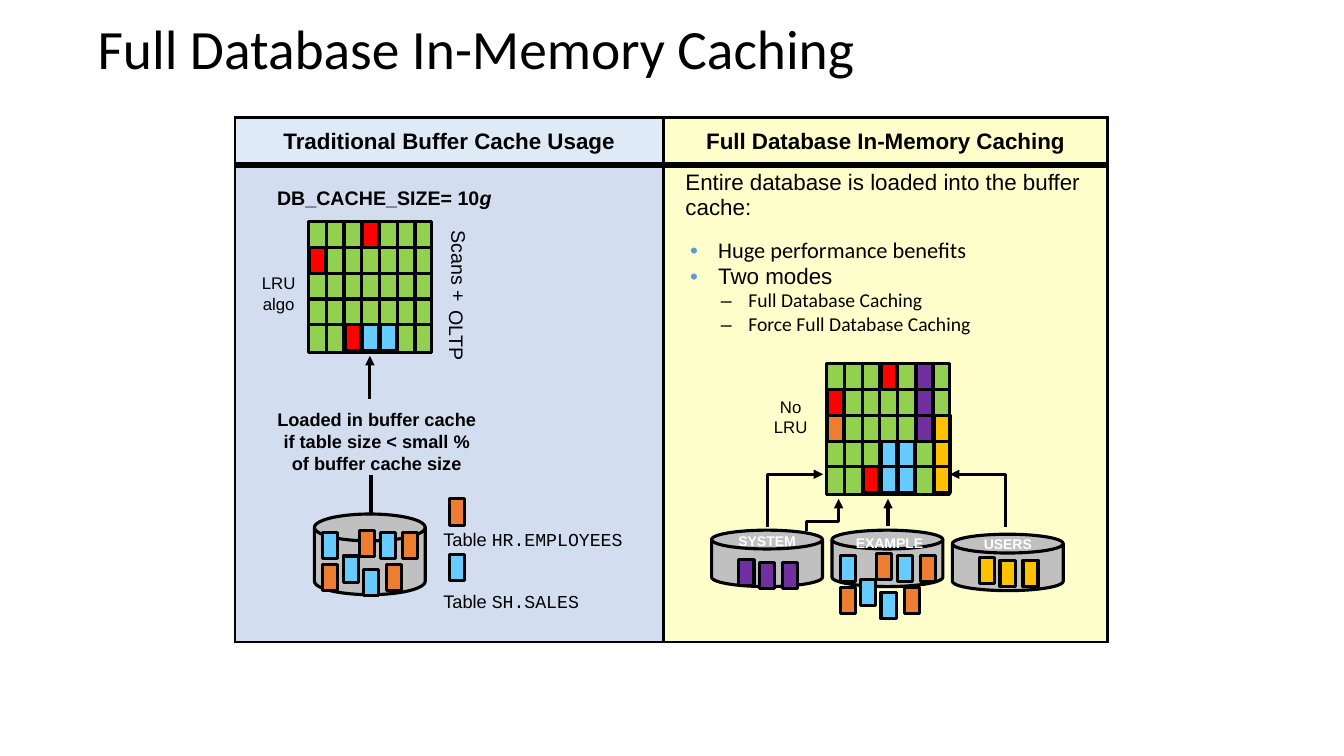
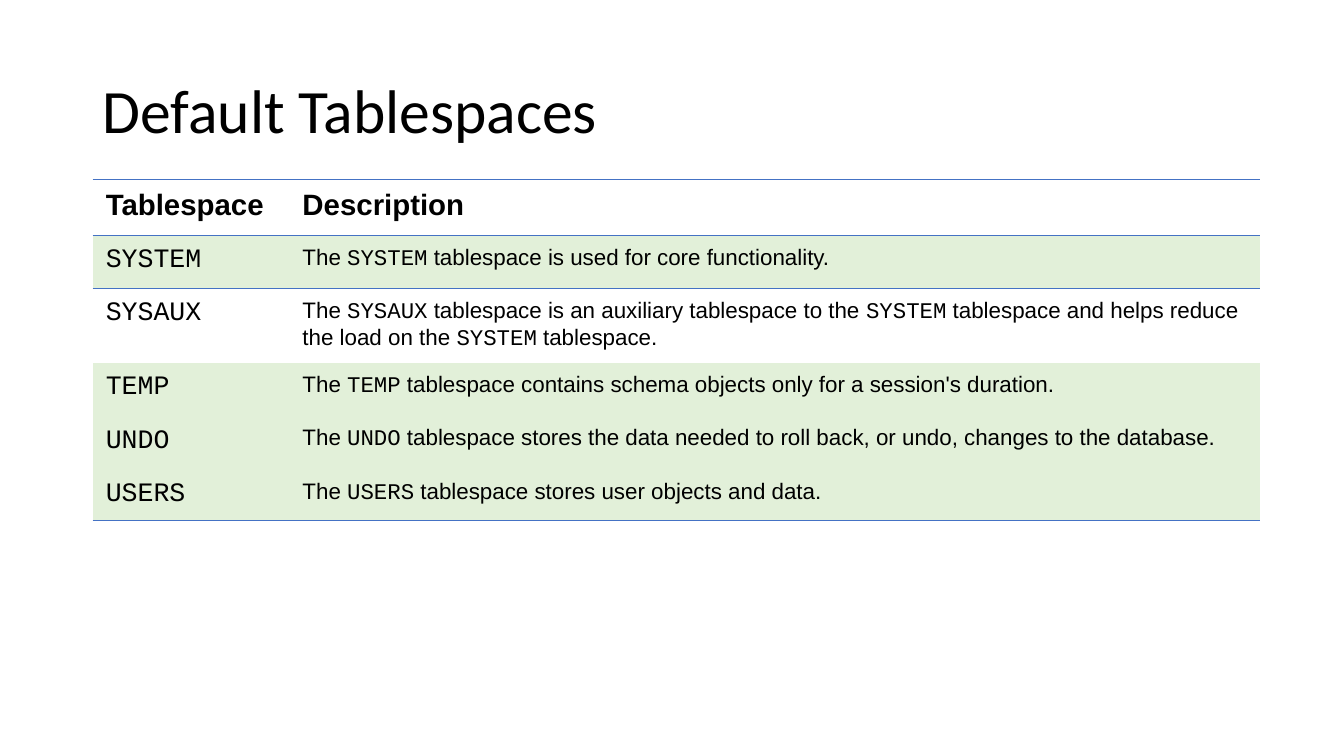
"""Build two slides on in-memory database caching and default tablespaces."""
from lxml.etree import SubElement
from pptx import Presentation
from pptx.dml.color import RGBColor
from pptx.enum.shapes import MSO_CONNECTOR, MSO_SHAPE
from pptx.enum.text import MSO_ANCHOR, PP_ALIGN
from pptx.oxml.ns import qn
from pptx.util import Pt

RECTANGLE, DISK = MSO_SHAPE.RECTANGLE, MSO_SHAPE.FLOWCHART_MAGNETIC_DISK
STRAIGHT, ELBOW = MSO_CONNECTOR.STRAIGHT, MSO_CONNECTOR.ELBOW
LEFT, CENTER = PP_ALIGN.LEFT, PP_ALIGN.CENTER
MIDDLE, TOP = MSO_ANCHOR.MIDDLE, MSO_ANCHOR.TOP
NO_TABLE_STYLE = "{2D5ABB26-0587-4C30-8999-92F81FD0307C}"


class Theme:
    """Colours, fonts and sizes shared by the slides."""
    black, white, gray = "000000", "FFFFFF", "C0C0C0"
    green, red, blue = "92D050", "FF0000", "66CCFF"
    orange, yellow, purple = "ED7D31", "FFC000", "7030A0"
    pale_blue, mid_blue, cream = "DEEBF7", "D2DEEF", "FFFFCC"
    bullet, rule, band = "5B9BD5", "4472C4", "E2F0D9"
    sans, heading, mono = "Arial", "Calibri", "Courier New"
    stroke, heavy_stroke, thin_stroke = 2.25, 4.5, 1
    body, sub_body, caption, note, disk_label = 16, 14, 13, 12, 10
    table_head, table_key = 21, 19


def write(frame, lines, size, color=Theme.black, align=LEFT, accent=None, **look):
    """Fill a text frame; pieces after an odd number of bars take the accent."""
    frame.word_wrap = True
    accent = accent or {"name": Theme.mono}
    for index, line in enumerate(lines):
        paragraph = frame.add_paragraph() if index else frame.paragraphs[0]
        paragraph.alignment = align
        for number, piece in enumerate(line.split("|")):
            run = paragraph.add_run()
            run.text = piece
            style = {"name": Theme.sans, "size": Pt(size), **look}
            style.update(accent if number % 2 else {})
            for key, value in style.items():
                setattr(run.font, key, value)
            run.font.color.rgb = RGBColor.from_string(color)


def ink(item, fill=None):
    """Give a shape or connector its black outline, optional fill and no shadow."""
    if fill:
        item.fill.solid()
        item.fill.fore_color.rgb = RGBColor.from_string(fill)
    item.line.color.rgb = RGBColor.from_string(Theme.black)
    item.line.width = Pt(Theme.stroke)
    SubElement(item._element.spPr, qn("a:effectLst"))


deck = Presentation()
deck.slide_width, deck.slide_height = Pt(960), Pt(540)
blank = deck.slide_layouts[6]
caching, tablespaces = [deck.slides.add_slide(blank) for _ in range(2)]

comparison = caching.shapes.add_table(
    2, 2, Pt(167.8), Pt(84.2), Pt(623.5), Pt(374.4)).table
catalog = tablespaces.shapes.add_table(
    6, 2, Pt(66.2), Pt(128), Pt(833.5), Pt(244)).table
for table, widths, heights in (
    (comparison, (306, 317.5), (33.8, 340.6)),
    (catalog, (140.5, 693), (40, 38, 53, 38, 38, 37)),
):
    table.first_row = table.horz_banding = False
    table._tbl.tblPr.find(qn("a:tableStyleId")).text = NO_TABLE_STYLE
    for column, width in zip(table.columns, widths):
        column.width = Pt(width)
    for row, height in zip(table.rows, heights):
        row.height = Pt(height)

cell_looks = []
column_heads = ("Traditional Buffer Cache Usage", "Full Database In-Memory Caching")
for column, head in enumerate(column_heads):
    cell = comparison.cell(0, column)
    cell.vertical_anchor = MIDDLE
    write(cell.text_frame, [head], Theme.body, align=CENTER, bold=True)
fills = ((Theme.pale_blue, Theme.cream), (Theme.mid_blue, Theme.cream))
for row, row_fills in enumerate(fills):
    for column, fill in enumerate(row_fills):
        edges = dict.fromkeys("LRTB", (Theme.black, Theme.stroke))
        edges["T" if row else "B"] = (Theme.black, Theme.heavy_stroke)
        cell_looks.append((comparison.cell(row, column), fill, edges))

benefits = (
    ("Entire database is loaded into the buffer cache:",
     Theme.body, Theme.sans, 8.6, 0, 0, None, None),
    ("Huge performance benefits",
     Theme.body, Theme.heading, 32, -20, 12, "•", Theme.bullet),
    ("Two modes", Theme.body, Theme.sans, 32, -20, 0, "•", Theme.bullet),
    ("Full Database Caching",
     Theme.sub_body, Theme.heading, 53.5, -19.5, 0, "‒", Theme.black),
    ("Force Full Database Caching",
     Theme.sub_body, Theme.heading, 53.5, -19.5, 0, "‒", Theme.black),
)
benefit_frame = comparison.cell(1, 1).text_frame
write(benefit_frame, [benefit[0] for benefit in benefits], Theme.body)
for paragraph, benefit in zip(benefit_frame.paragraphs, benefits):
    _, size, font, margin, indent, before, mark, mark_color = benefit
    paragraph.space_before = Pt(before)
    paragraph.runs[0].font.size = Pt(size)
    paragraph.runs[0].font.name = font
    properties = paragraph._p.get_or_add_pPr()
    properties.set("marL", str(Pt(margin)))
    properties.set("indent", str(Pt(indent)))
    if mark:
        mark_fill = SubElement(properties, qn("a:buClr"))
        SubElement(mark_fill, qn("a:srgbClr"), val=mark_color)
        SubElement(properties, qn("a:buFont"), typeface=Theme.sans)
        SubElement(properties, qn("a:buChar"), char=mark)

entries = (
    ("Tablespace", "Description"),
    ("SYSTEM", "The |SYSTEM| tablespace is used for core functionality."),
    ("SYSAUX", "The |SYSAUX| tablespace is an auxiliary tablespace to the |SYSTEM| "
               "tablespace and helps reduce the load on the |SYSTEM| tablespace."),
    ("TEMP", "The |TEMP| tablespace contains schema objects only for a "
             "session's duration."),
    ("UNDO", "The |UNDO| tablespace stores the data needed to roll back, or undo, "
             "changes to the database."),
    ("USERS", "The |USERS| tablespace stores user objects and data."),
)
thin_rule = (Theme.rule, Theme.thin_stroke)
row_edges = {0: {"T": thin_rule, "B": thin_rule}, 1: {"T": thin_rule},
             len(entries) - 1: {"B": thin_rule}}
for row, entry in enumerate(entries):
    for column, text in enumerate(entry):
        cell = catalog.cell(row, column)
        cell.margin_left = cell.margin_right = Pt(9.4)
        cell.margin_top = cell.margin_bottom = Pt(7.2)
        if row == 0:
            look = {"size": Theme.table_head, "bold": True}
        elif column == 0:
            look = {"size": Theme.table_key, "name": Theme.mono}
        else:
            look = {"size": Theme.body}
        write(cell.text_frame, [text], **look)
        fill = None if row in (0, 2) else Theme.band
        cell_looks.append((cell, fill, row_edges.get(row, {})))

for cell, fill, edges in cell_looks:
    cell_properties = cell._tc.get_or_add_tcPr()
    for side in "LRTB":
        if side in edges:
            color, width = edges[side]
            border = SubElement(cell_properties, qn(f"a:ln{side}"), w=str(Pt(width)))
            SubElement(SubElement(border, qn("a:solidFill")), qn("a:srgbClr"), val=color)
    if fill:
        cell.fill.solid()
        cell.fill.fore_color.rgb = RGBColor.from_string(fill)
    else:
        cell.fill.background()

cell_width, cell_height, columns, rows = 12.7, 18.4, 7, 5
cache_width, cache_height = 88, 93.6
caches = (
    (220.3, 158.4, {
        Theme.red: [(3, 0), (0, 1), (2, 4)],
        Theme.blue: [(3, 4), (4, 4)],
    }),
    (590.4, 259.9, {
        Theme.red: [(3, 0), (0, 1), (2, 4)],
        Theme.blue: [(3, 3), (4, 3), (3, 4), (4, 4)],
        Theme.orange: [(0, 2)],
        Theme.yellow: [(6, 2), (6, 3), (6, 4)],
        Theme.purple: [(5, 0), (5, 1), (5, 2)],
    }),
)
for x, y, used_blocks in caches:
    cache = caching.shapes.add_shape(
        RECTANGLE, Pt(x), Pt(y), Pt(cache_width), Pt(cache_height))
    ink(cache, Theme.green)
    grid = [(x + n * cell_width, y, x + n * cell_width, y + cache_height)
            for n in range(1, columns)]
    grid += [(x, y + n * cell_height, x + cache_width, y + n * cell_height)
             for n in range(1, rows)]
    for ends in grid:
        ink(caching.shapes.add_connector(STRAIGHT, *map(Pt, ends)))
    for color, places in used_blocks.items():
        for column, row in places:
            block = caching.shapes.add_shape(
                RECTANGLE, Pt(x + column * cell_width + 0.8), Pt(y + row * cell_height),
                Pt(11.2), Pt(18.6))
            ink(block, color)

table_chips = (
    (63, 13, Theme.orange), (6, 13, Theme.blue), (32, 11.5, Theme.orange),
    (35, 39.5, Theme.blue), (51.5, 36, Theme.orange), (6, 36, Theme.orange),
    (20.5, 30, Theme.blue), (47, 13, Theme.blue),
)
system_chips, user_chips = [
    [(dx, top + dy, color) for dx, dy in ((19.5, 0), (34, 2), (50.4, 2))]
    for top, color in ((21, Theme.purple), (16.5, Theme.yellow))
]
legend_chips = ((321.1, 356.4, Theme.orange), (321.1, 396, Theme.blue))
disk_width, first_disk, disk_pitch = 79.2, 508.3, 86
disks = (
    (224.6, 367.2, 57.6, 0, table_chips),
    (first_disk, 378.7, 40.3, 0, system_chips),
    (first_disk + disk_pitch, 378.7, 40.3, 5, table_chips),
    (first_disk + 2 * disk_pitch, 381.6, 40.3, 0, user_chips),
)
chips = list(legend_chips)
for x, y, height, drop, disk_chips in disks:
    disk = caching.shapes.add_shape(DISK, Pt(x), Pt(y), Pt(disk_width), Pt(height))
    ink(disk, Theme.gray)
    chips += [(x + dx, y + drop + dy, color) for dx, dy, color in disk_chips]
for x, y, color in chips:
    chip = caching.shapes.add_shape(RECTANGLE, Pt(x), Pt(y), Pt(10.8), Pt(18.7))
    ink(chip, color)

flows = (
    (STRAIGHT, (264.2, 285, 264.2, 254.2), "line", 0, True),
    (STRAIGHT, (265, 339, 265, 367.2), "line", 0, False),
    (STRAIGHT, (634.3, 375.8, 634.3, 356.4), "line", 0, True),
    (ELBOW, (586.8, 377.3, 549.4, 337.7), "bentConnector2", 90, True),
    (ELBOW, (679.7, 377.3, 717.1, 337.7), "bentConnector2", 270, True),
    (ELBOW, (599, 379.4, 576, 356.4), "bentConnector3", 90, True),
)
for kind, ends, preset, turn, has_arrow in flows:
    flow = caching.shapes.add_connector(kind, *map(Pt, ends))
    ink(flow)
    flow_properties = flow._element.spPr
    geometry = flow_properties.find(qn("a:prstGeom"))
    geometry.set("prst", preset)
    if turn:
        flow_properties.find(qn("a:xfrm")).set("rot", str(turn * 60000))
    if preset == "bentConnector3":
        SubElement(geometry.find(qn("a:avLst")), qn("a:gd"), name="adj1", fmla="val 31100")
    if has_arrow:
        SubElement(flow_properties.find(qn("a:ln")), qn("a:tailEnd"), type="triangle")

title_look = {"name": Theme.heading}
caption_look = {"size": Theme.caption}
side_look = {"size": Theme.sub_body}
note_look = {"size": Theme.note, "align": CENTER}
disk_look = {"size": Theme.disk_label, "color": Theme.white, "align": CENTER, "bold": True}
texts = (
    (caching, (62.6, 12.2, 797.8, 49), ["Full Database In-Memory Caching"],
     {**title_look, "size": 39.6}),
    (tablespaces, (66.2, 28.8, 828, 104.4), ["Default Tablespaces"],
     {**title_look, "size": 44}),
    (caching, (190.8, 129.6, 170, 24.5), ["DB_CACHE_SIZE= 10|g"],
     {**side_look, "bold": True, "accent": {"italic": True}}),
    (caching, (179.3, 191.5, 39.6, 36.7), ["LRU", "algo"], note_look),
    (caching, (545, 280, 39.6, 36.7), ["No LRU"], note_look),
    (caching, (306.7, 214.6, 31.7, 51), ["OLTP"], side_look),
    (caching, (308.2, 157.7, 31.7, 67.7), ["Scans +"], side_look),
    (caching, (309.6, 373.7, 151, 23), ["Table |HR.EMPLOYEES"], caption_look),
    (caching, (309.6, 418.3, 151, 23), ["Table |SH.SALES"], caption_look),
    (caching, (187, 288, 164, 54.7),
     ["Loaded in buffer cache", "if table size < small %", "of buffer cache size"],
     {**caption_look, "bold": True, "align": CENTER}),
    (caching, (first_disk, 376.6, disk_width, 19.4), ["SYSTEM"], disk_look),
    (caching, (first_disk + disk_pitch + 1.5, 378, disk_width, 19.4), ["EXAMPLE"],
     disk_look),
    (caching, (first_disk + 2 * disk_pitch, 378.7, disk_width, 19.4), ["USERS"],
     disk_look),
)
for slide, place, lines, look in texts:
    frame = slide.shapes.add_textbox(*map(Pt, place)).text_frame
    write(frame, lines, **look)
    is_title = look.get("name") == Theme.heading
    frame.vertical_anchor = MIDDLE if is_title else TOP
    if is_title:
        frame.paragraphs[0].line_spacing = 0.9
    if look is side_look:
        frame._txBody.bodyPr.set("vert", "vert")

deck.save("out.pptx")
